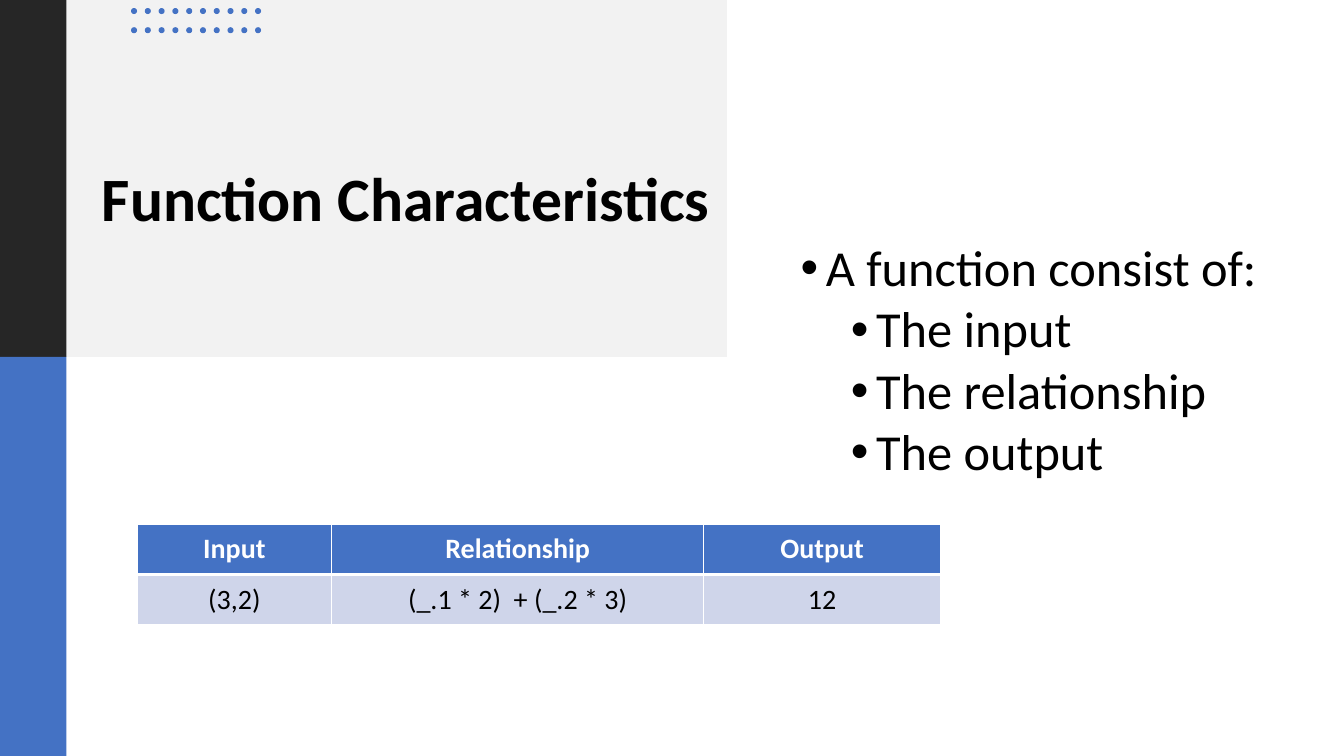
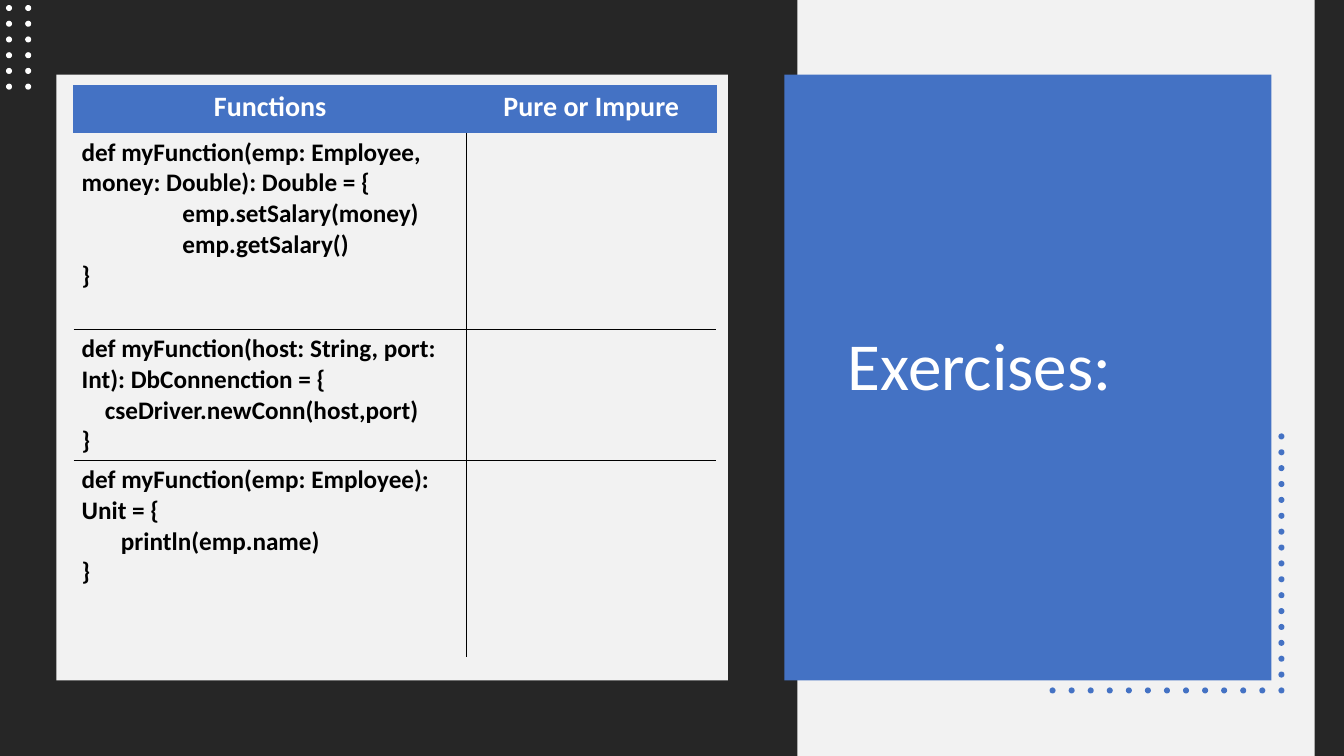
import pptx
import pptx.util
import pptx.dml.color
import pptx.enum.shapes
import pptx.enum.text
import pptx.oxml.ns
import lxml.etree

Inches = pptx.util.Inches
Pt = pptx.util.Pt
Align = pptx.enum.text.PP_ALIGN
Anchor = pptx.enum.text.MSO_ANCHOR
Preset = pptx.enum.shapes.MSO_SHAPE
qn = pptx.oxml.ns.qn

FONT = "Calibri"
PLAIN_TABLE = "{2D5ABB26-0587-4C30-8999-92F81FD0307C}"
COLORS = {
    "blue": "4472C4", "dark": "262626", "light": "F2F2F2",
    "pale": "CFD5EA", "white": "FFFFFF", "black": "000000",
}

BULLETS = [
    (0, "A function consist of:"),
    (1, "The input"),
    (1, "The relationship"),
    (1, "The output"),
]
BULLET_LEVELS = [
    {"indent": 0.25, "before": 10},
    {"indent": 0.75, "before": 5},
]
EXAMPLE_ROWS = [
    ["Input", "Relationship", "Output"],
    ["(3,2)", "(_.1 * 2)  + (_.2 * 3)", "12"],
]
EXERCISE_HEADER = ["Functions", "Pure or Impure"]
EXERCISES = [
    [(0, "def myFunction(emp: Employee, money: Double): Double = {"),
     (1, "emp.setSalary(money)"),
     (1, "emp.getSalary()"),
     (0, "}")],
    [(0, "def myFunction(host: String, port: Int): DbConnenction = {"),
     (0.23, "cseDriver.newConn(host,port)"),
     (0, "}")],
    [(0, "def myFunction(emp: Employee): Unit = {"),
     (0.39, "println(emp.name)"),
     (0, "}")],
]


def rgb(name):
    return pptx.dml.color.RGBColor.from_string(COLORS[name])


def spread(first, last, count):
    step = (last - first) / (count - 1)
    return [first + step * index for index in range(count)]


def add_filled(shapes, preset, color, *place):
    shape = shapes.add_shape(preset, *map(Inches, place))
    shape.shadow.inherit = False
    shape.fill.solid()
    shape.fill.fore_color.rgb = rgb(color)
    shape.line.fill.background()


def add_panels(page, panels):
    for color, place in panels:
        add_filled(page.shapes, Preset.RECTANGLE, color, *place)


def add_dots(page, color, centers):
    group = page.shapes.add_group_shape()
    for left, top in centers:
        add_filled(group.shapes, Preset.OVAL, color, left, top, 0.06, 0.06)


def write(para, text, size, color, bold=False):
    span = para.add_run()
    span.text = text
    span.font.name = FONT
    span.font.size = Pt(size)
    span.font.bold = bold
    span.font.color.rgb = rgb(color)


def indent(para, margin, first=0):
    properties = para._p.get_or_add_pPr()
    properties.set("marL", str(Inches(margin)))
    properties.set("indent", str(Inches(first)))
    return properties


def place_text(page, box, place, anchor):
    box.left, box.top, box.width, box.height = map(Inches, place)
    page.shapes.element.append(box.element)
    frame = box.text_frame
    frame.word_wrap = True
    frame.auto_size = pptx.enum.text.MSO_AUTO_SIZE.NONE
    frame.vertical_anchor = anchor
    return frame


def set_title(page, text, place, anchor, size, color, bold=False):
    para = place_text(page, page.shapes.title, place, anchor).paragraphs[0]
    para.alignment = Align.LEFT
    para.line_spacing = 0.9
    write(para, text, size, color, bold)


def set_bullets(page, place):
    frame = place_text(page, page.placeholders[1], place, Anchor.MIDDLE)
    for index, (level, text) in enumerate(BULLETS):
        para = frame.add_paragraph() if index else frame.paragraphs[0]
        style = BULLET_LEVELS[level]
        para.level = level
        para.line_spacing = 0.9
        para.space_before = Pt(style["before"])
        properties = indent(para, style["indent"], -0.25)
        font = lxml.etree.SubElement(properties, qn("a:buFont"))
        font.set("typeface", "Arial")
        lxml.etree.SubElement(properties, qn("a:buChar")).set("char", "•")
        write(para, text, 36, "black")


def add_table(page, left, top, widths, heights):
    box = page.shapes.add_table(
        len(heights), len(widths), Inches(left), Inches(top),
        Inches(sum(widths)), Inches(sum(heights)))
    next(box.element.iter(qn("a:tableStyleId"))).text = PLAIN_TABLE
    table = box.table
    table.horz_banding = False
    for column, width in zip(table.columns, widths):
        column.width = Inches(width)
    for row, height in zip(table.rows, heights):
        row.height = Inches(height)
    return table


def style_cell(cell, fill, borders, side_inset, end_inset):
    cell.margin_left = cell.margin_right = Inches(side_inset)
    cell.margin_top = cell.margin_bottom = Inches(end_inset)
    properties = cell._tc.get_or_add_tcPr()
    for side in "LRTB":
        if side in borders:
            color, width = borders[side]
            line = lxml.etree.SubElement(properties, qn("a:ln" + side))
            line.set("w", str(Pt(width)))
            solid = lxml.etree.SubElement(line, qn("a:solidFill"))
            lxml.etree.SubElement(solid, qn("a:srgbClr")).set("val", COLORS[color])
    if fill:
        cell.fill.solid()
        cell.fill.fore_color.rgb = rgb(fill)
    else:
        cell.fill.background()


def write_centered(cell, text, color, bold):
    para = cell.text_frame.paragraphs[0]
    para.alignment = Align.CENTER
    write(para, text, 20, color, bold)


def build_characteristics(deck):
    page = deck.slides.add_slide(deck.slide_layouts[1])
    add_panels(page, [
        ("light", (0, 0, 7.21, 3.54)),
        ("dark", (0, 0, 0.66, 3.54)),
        ("blue", (0, 3.54, 0.66, 3.96)),
    ])
    add_dots(page, "blue", [(left, top) for left in spread(1.3, 2.53, 10)
                            for top in (0.08, 0.27)])
    set_title(page, "Function Characteristics", (0.91, 0.73, 6.68, 2.53),
              Anchor.MIDDLE, 44, "black", True)
    set_bullets(page, (7.84, 0.57, 4.92, 6.05))
    table = add_table(page, 1.36, 5.2, [1.93, 3.69, 2.35], [0.49, 0.5])
    for row, texts in enumerate(EXAMPLE_ROWS):
        header = row == 0
        borders = {side: ("white", 1) for side in "LRTB"}
        borders["B" if header else "T"] = ("white", 3)
        for column, text in enumerate(texts):
            cell = table.cell(row, column)
            style_cell(cell, "blue" if header else "pale", borders, 0.16, 0.08)
            write_centered(cell, text, "white" if header else "black", header)


def build_exercises(deck):
    page = deck.slides.add_slide(deck.slide_layouts[5])
    add_panels(page, [
        ("dark", (0, 0, 13.33, 7.5)),
        ("light", (0.56, 0.74, 6.66, 6.01)),
        ("light", (7.91, 0, 5.13, 7.5)),
        ("blue", (7.78, 0.74, 4.83, 6.01)),
    ])
    add_dots(page, "white", [(left, top) for left in (0.06, 0.25)
                             for top in spread(0.05, 0.83, 6)])
    add_dots(page, "blue",
             [(12.68, top) for top in spread(4.3, 6.82, 17)]
             + [(left, 6.82) for left in spread(10.41, 12.49, 12)])
    set_title(page, "Exercises:", (8.31, 0.7, 4.05, 3.37),
              Anchor.BOTTOM, 48, "white")
    table = add_table(page, 0.73, 0.85, [3.9, 2.47], [0.47, 1.95, 1.3, 1.95])
    for column, text in enumerate(EXERCISE_HEADER):
        cell = table.cell(0, column)
        edges = {side: ("blue", 0.5) for side in "LRT"}
        style_cell(cell, "blue", edges, 0.08, 0.04)
        write_centered(cell, text, "white", True)
    for row, code in enumerate(EXERCISES, 1):
        rules = ("T" if row > 1 else "") + ("B" if row < len(EXERCISES) else "")
        for column, inner in enumerate("RL"):
            borders = {side: ("black", 1) for side in inner + rules}
            style_cell(table.cell(row, column), None, borders, 0.08, 0.04)
        frame = table.cell(row, 0).text_frame
        for index, (margin, text) in enumerate(code):
            para = frame.add_paragraph() if index else frame.paragraphs[0]
            indent(para, margin)
            write(para, text, 18, "black", True)


def main():
    deck = pptx.Presentation()
    deck.slide_width = Inches(13.33)
    deck.slide_height = Inches(7.5)
    build_characteristics(deck)
    build_exercises(deck)
    deck.save("out.pptx")


if __name__ == "__main__":
    main()
